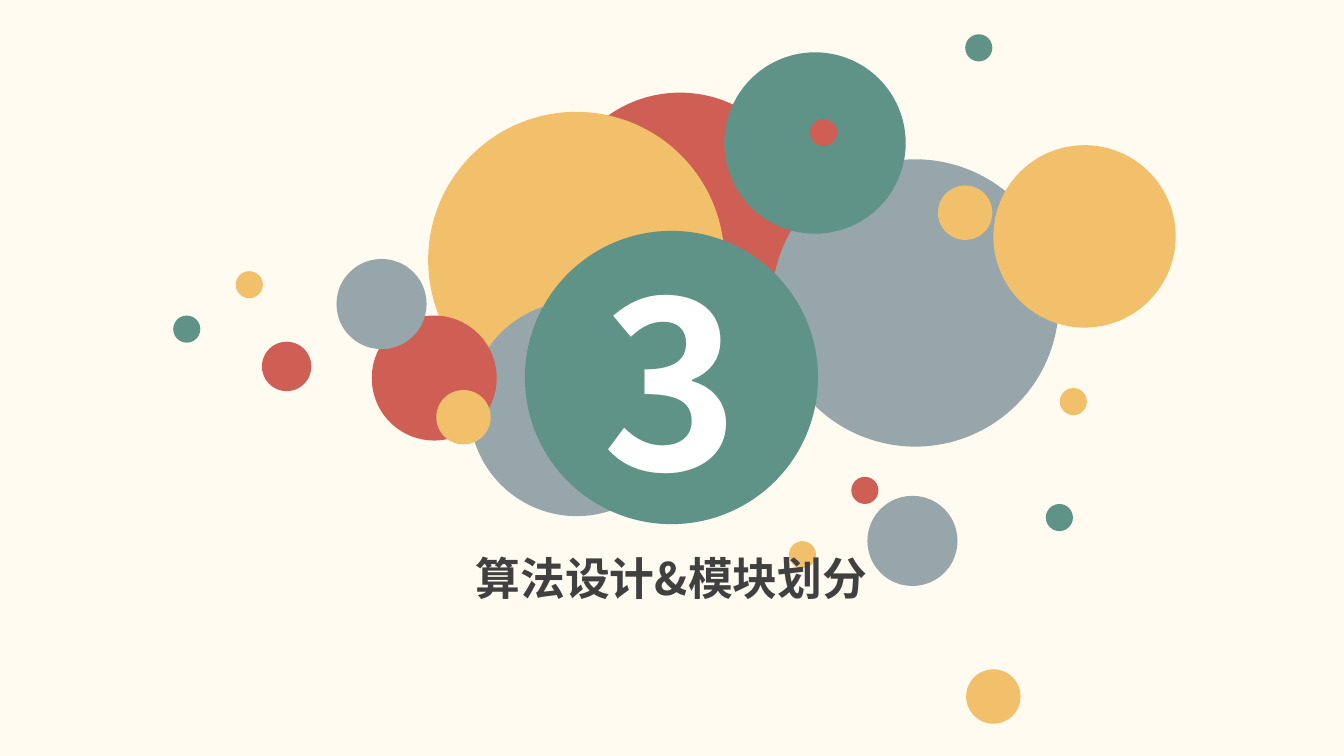
from pptx import Presentation
from pptx.dml.color import RGBColor
from pptx.enum.shapes import MSO_SHAPE
from pptx.enum.text import MSO_ANCHOR, MSO_AUTO_SIZE, PP_ALIGN
from pptx.oxml.ns import qn
from pptx.util import Pt
from lxml import etree

OVAL = MSO_SHAPE.OVAL
MIDDLE = MSO_ANCHOR.MIDDLE
GROW = MSO_AUTO_SIZE.SHAPE_TO_FIT_TEXT
CENTER = PP_ALIGN.CENTER

CREAM = RGBColor(0xFF, 0xFB, 0xF0)
RED = RGBColor(0xCF, 0x5F, 0x55)
YELLOW = RGBColor(0xF2, 0xC0, 0x6B)
GREY = RGBColor(0x97, 0xA6, 0xAB)
GREEN = RGBColor(0x5F, 0x93, 0x87)
WHITE = RGBColor(0xFF, 0xFF, 0xFF)
DARK = RGBColor(0x40, 0x40, 0x40)
FONT = "Noto Sans CJK SC"

# Diameters shared by several bubbles
DOT, SMALL, MEDIUM = 19.4, 38.9, 64.4

# Left, top, diameter and colour, from back to front
BUBBLES = [
    (397.4, 66.2, 177.1, RED),
    (306, 79.9, 211.7, YELLOW),
    (335.5, 215.3, 153.4, GREY),
    (551.5, 113.8, 205.2, GREY),
    (517.7, 37.4, 129.6, GREEN),
    (265.7, 225.4, 89.3, RED),
    (619.9, 354.2, MEDIUM, GREY),
    (608.4, 340.6, DOT, RED),
    (563.8, 386.6, DOT, YELLOW),
    (747.4, 360, DOT, GREEN),
    (690.5, 478.1, SMALL, YELLOW),
    (709.9, 103.7, 130.3, YELLOW),
    (240.5, 185, MEDIUM, GREY),
    (187.2, 244.1, 35.3, RED),
    (168.5, 193.7, DOT, YELLOW),
    (123.8, 225.4, DOT, GREEN),
    (311.8, 278.6, SMALL, YELLOW),
    (578.9, 85, DOT, RED),
    (757.4, 277.2, DOT, YELLOW),
    (689.8, 24.5, DOT, GREEN),
    (670.3, 132.5, SMALL, YELLOW),
]


def add_bubble(s, left, top, diameter, color):
    sp = s.shapes.add_shape(OVAL, Pt(left), Pt(top), Pt(diameter), Pt(diameter))
    sp.shadow.inherit = False
    sp.fill.solid()
    sp.fill.fore_color.rgb = color
    sp.line.fill.background()
    return sp


def write_text(tf, text, size, color):
    p = tf.paragraphs[0]
    p.alignment = CENTER
    r = p.add_run()
    r.text = text
    r.font.size = Pt(size)
    r.font.bold = True
    r.font.color.rgb = color
    r.font.name = FONT
    # East Asian typeface for the Chinese characters
    etree.SubElement(r.font._element, qn("a:ea")).set("typeface", FONT)


def add_title(s, left, top, width, height, text):
    sp = s.shapes.add_textbox(Pt(left), Pt(top), Pt(width), Pt(height))
    tf = sp.text_frame
    tf.word_wrap = True
    tf.auto_size = GROW
    write_text(tf, text, 32, DARK)


def main():
    prs = Presentation()
    prs.slide_width, prs.slide_height = Pt(960.48), Pt(540)
    s = prs.slides.add_slide(prs.slide_layouts[6])
    s.background.fill.solid()
    s.background.fill.fore_color.rgb = CREAM

    # Scattered bubbles
    for bubble in BUBBLES:
        add_bubble(s, *bubble)

    # Section number
    number = add_bubble(s, 375.1, 164.9, 209.5, GREEN)
    number.text_frame.vertical_anchor = MIDDLE
    write_text(number.text_frame, "3", 166, WHITE)

    # Section title
    add_title(s, 262.8, 390.2, 434.2, 46.1, "算法设计&模块划分")

    prs.save("out.pptx")


if __name__ == "__main__":
    main()
